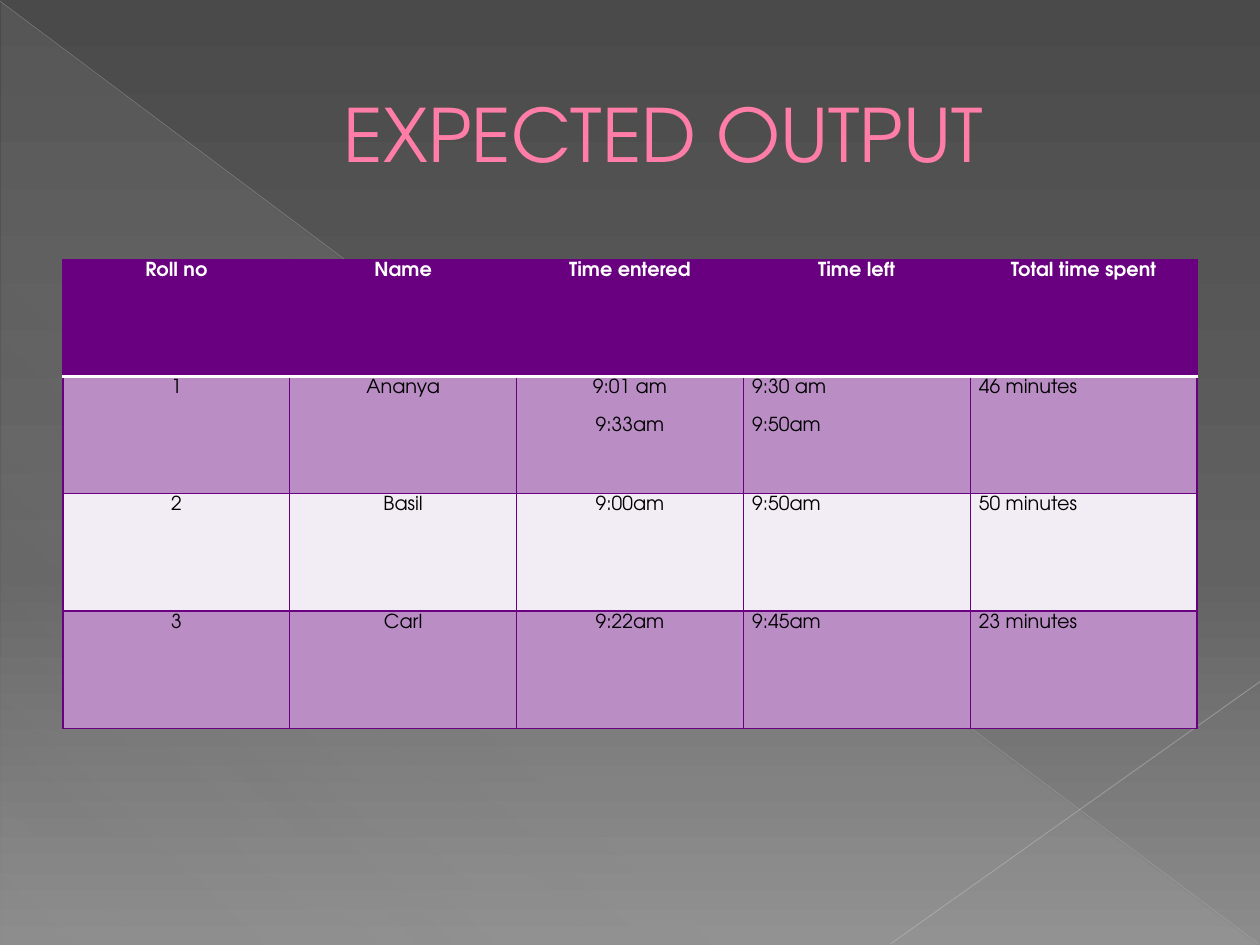
"""Build the expected output slide with its table of times."""
from typing import Any, NamedTuple

from pptx import Presentation
from pptx.dml.color import RGBColor
from pptx.enum.shapes import MSO_CONNECTOR, MSO_SHAPE
from pptx.enum.text import MSO_ANCHOR, PP_ALIGN
from pptx.oxml.ns import qn
from pptx.oxml.xmlchemy import OxmlElement
from pptx.util import Inches, Pt

LEFT, CENTER = PP_ALIGN.LEFT, PP_ALIGN.CENTER
MIDDLE = MSO_ANCHOR.MIDDLE
STRAIGHT = MSO_CONNECTOR.STRAIGHT
CORNER = MSO_SHAPE.RIGHT_TRIANGLE
FONT = "TeX Gyre Adventor"
COLORS = {
    "top": "4A4A4A", "mid": "626262", "base": "8C8C8C",
    "glow": "D2D2D2", "long": "BFBFBF", "short": "C6C6C6",
    "title": "FF7DA7", "head": "68007F", "band": "BA8DC5",
    "plain": "F2EDF4", "white": "FFFFFF", "black": "000000",
}


class Stop(NamedTuple):
    pos: int
    color: str
    alpha: int = 100


class Ray(NamedTuple):
    start: tuple[float, float]
    end: tuple[float, float]
    color: str
    width: float
    alpha: int


SKY = [Stop(0, "top"), Stop(60, "mid"), Stop(100, "base")]
GLOW = [Stop(0, "glow", 10), Stop(70, "glow", 8), Stop(100, "glow", 1)]
RAYS = [
    Ray((0, 0.01), (9.99, 7.49), "long", 0.39, 35),
    Ray((10, 5.41), (7.07, 7.49), "short", 0.47, 45),
]
ROWS = [
    ["Roll no", "Name", "Time entered", "Time left", "Total time spent"],
    ["1", "Ananya", "9:01 am\n9:33am", "9:30 am\n9:50am", "46 minutes"],
    ["2", "Basil", "9:00am", "9:50am", "50 minutes"],
    ["3", "Carl", "9:22am", "9:45am", "23 minutes"],
]


def rgb(name: str) -> RGBColor:
    """Return a named colour."""
    return RGBColor.from_string(COLORS[name])


def add(root: Any, tag: str, **attrs: Any) -> Any:
    """Append a child element with attributes."""
    item = OxmlElement(tag)
    for key, value in attrs.items():
        item.set(key, str(value))
    root.append(item)
    return item


def fade(color: Any, alpha: int) -> None:
    """Set the opacity of a colour element in percent."""
    if alpha < 100:
        add(color, "a:alpha", val=alpha * 1000)


def blend(fill: Any, root: Any, stops: list[Stop], angle: int) -> None:
    """Give a fill its gradient stops and angle."""
    fill.gradient()
    grad = next(root.iter(qn("a:gradFill")))
    for child in list(grad):
        grad.remove(child)
    group = add(grad, "a:gsLst")
    for stop in stops:
        item = add(group, "a:gs", pos=stop.pos * 1000)
        fade(add(item, "a:srgbClr", val=COLORS[stop.color]), stop.alpha)
    add(grad, "a:lin", ang=angle * 60000, scaled=0)


def draw_ray(slide: Any, ray: Ray) -> None:
    """Draw one thin translucent line."""
    ends = [Inches(value) for value in ray.start + ray.end]
    line = slide.shapes.add_connector(STRAIGHT, *ends)
    line.line.width = Pt(ray.width)
    line.line.color.rgb = rgb(ray.color)
    fade(next(line.element.iter(qn("a:srgbClr"))), ray.alpha)
    add(line.element.spPr, "a:effectLst")


def write(para: Any, text: str, size: int, color: str, bold: bool = False) -> None:
    """Add one styled run to a paragraph."""
    run = para.add_run()
    run.text = text
    run.font.name, run.font.size, run.font.bold = FONT, Pt(size), bold
    run.font.color.rgb = rgb(color)


def draw_title(slide: Any, text: str) -> None:
    """Write the indented, centred title."""
    box = slide.shapes.add_textbox(Inches(0.5), Inches(0.29), Inches(9), Inches(1.53))
    frame = box.text_frame
    frame.word_wrap, frame.vertical_anchor = True, MIDDLE
    para = frame.paragraphs[0]
    para.alignment = CENTER
    props = para._p.get_or_add_pPr()
    props.set("marL", str(Inches(0.53)))
    props.set("indent", "0")
    write(para, text, 42, "title")


def edge(cell: Any, side: str, color: str, width: float) -> None:
    """Draw one border of a cell."""
    line = add(cell._tc.get_or_add_tcPr(), f"a:ln{side}", w=Pt(width))
    add(add(line, "a:solidFill"), "a:srgbClr", val=COLORS[color])


def fill_cell(cell: Any, text: str, row: int, col: int) -> None:
    """Style a cell by its place and write its text."""
    head = row == 0
    for side in "LRTB":
        rule = (row, side) in ((0, "B"), (1, "T"))
        edge(cell, side, "white" if rule else "head", 2 if rule else 0.75)
    cell.fill.solid()
    cell.fill.fore_color.rgb = rgb("head" if head else "band" if row % 2 else "plain")
    cell.margin_left = cell.margin_right = Inches(0.07)
    cell.margin_top = cell.margin_bottom = 0
    frame = cell.text_frame
    for index, line in enumerate(text.split("\n")):
        para = frame.add_paragraph() if index else frame.paragraphs[0]
        para.alignment = CENTER if head or col < 3 else LEFT
        para.line_spacing, para.space_after = 1.15, Pt(10)
        write(para, line, 11, "white" if head else "black", head)


def draw_table(slide: Any, rows: list[list[str]]) -> None:
    """Draw the table of entry and leaving times."""
    frame = slide.shapes.add_table(
        len(rows), len(rows[0]), Inches(0.5), Inches(2.06), Inches(9), Inches(3.72))
    for row, texts in enumerate(rows):
        for col, text in enumerate(texts):
            fill_cell(frame.table.cell(row, col), text, row, col)


def main() -> None:
    """Build and save the slide."""
    deck = Presentation()
    deck.slide_width, deck.slide_height = Inches(10), Inches(7.5)
    slide = deck.slides.add_slide(deck.slide_layouts[6])
    blend(slide.background.fill, slide.element, SKY, 90)
    glow = slide.shapes.add_shape(
        CORNER, Inches(0.01), Inches(0.02), Inches(9.98), Inches(7.48))
    glow.shadow.inherit = False
    glow.line.fill.background()
    blend(glow.fill, glow.element, GLOW, 133)
    for ray in RAYS:
        draw_ray(slide, ray)
    draw_title(slide, "EXPECTED OUTPUT")
    draw_table(slide, ROWS)
    deck.save("out.pptx")


if __name__ == "__main__":
    main()
